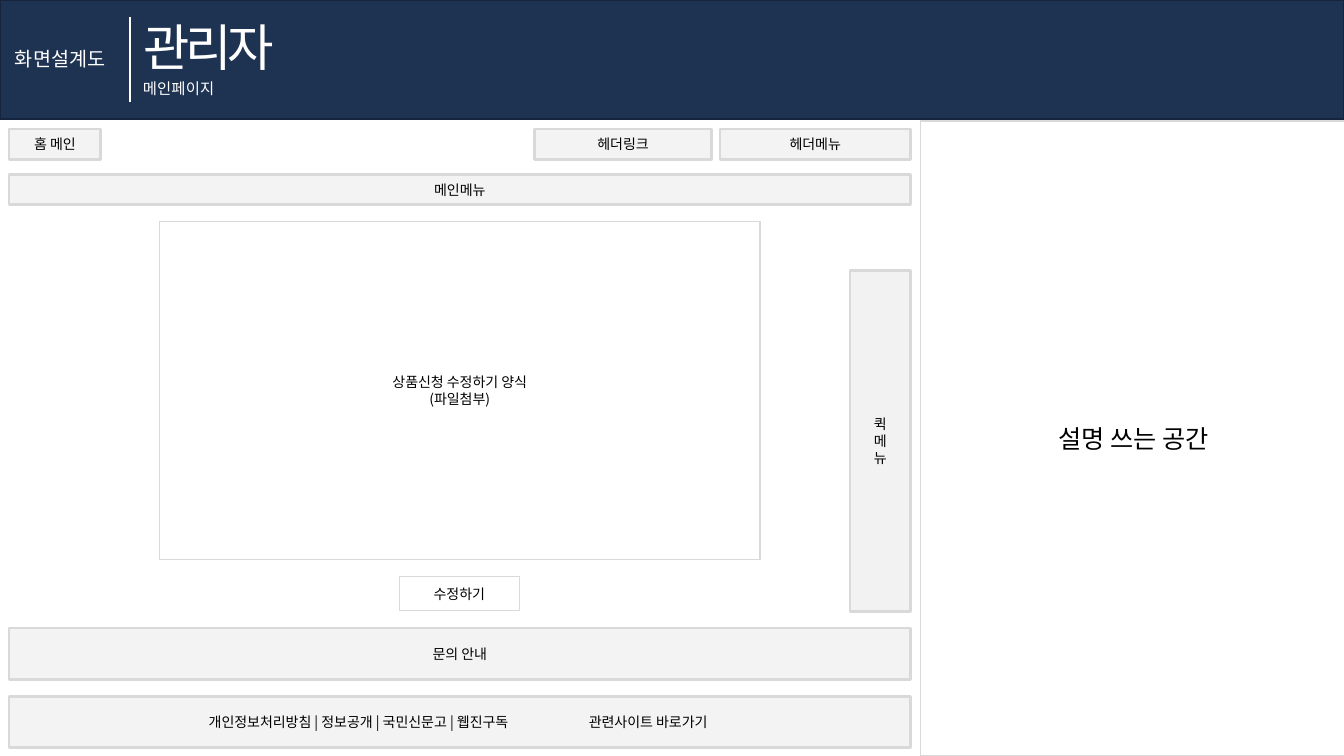
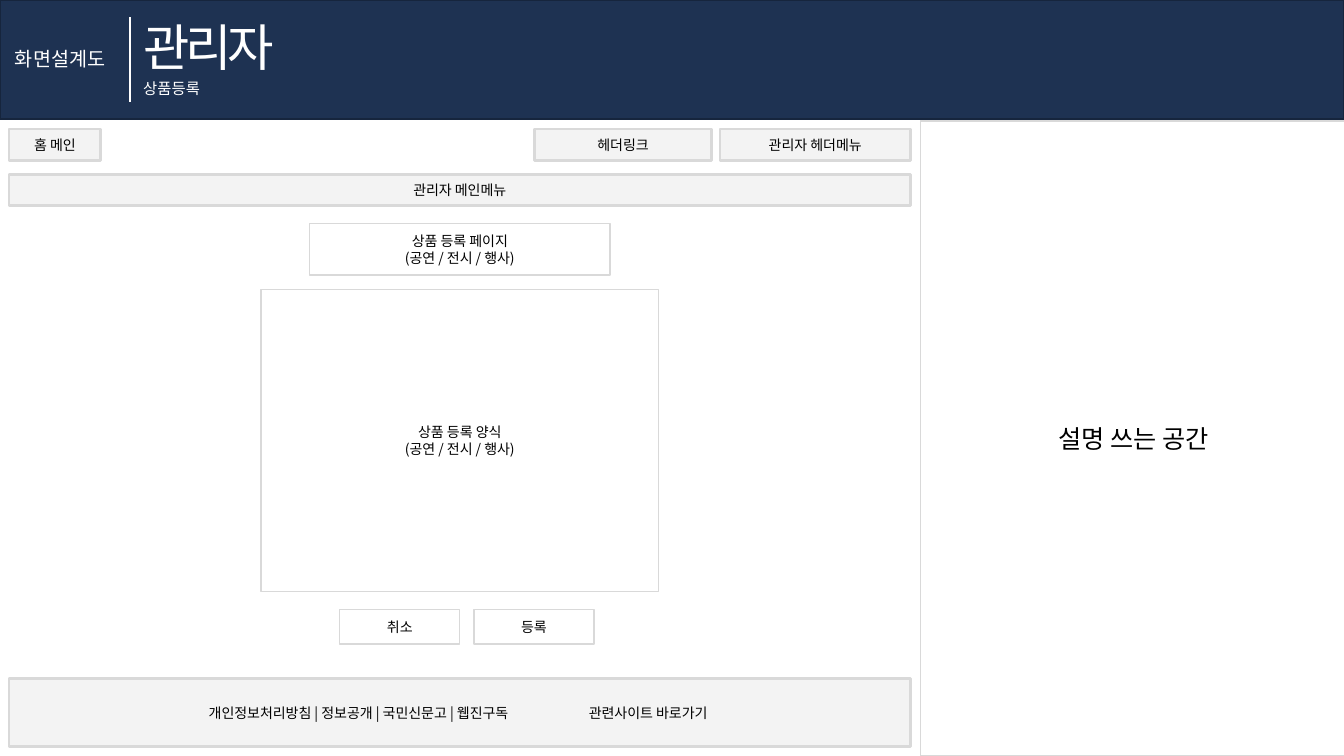
import dataclasses

import lxml.etree
import pptx
import pptx.dml.color
import pptx.enum.shapes
import pptx.enum.text
import pptx.oxml
import pptx.oxml.ns
import pptx.util

Inches = pptx.util.Inches
Pt = pptx.util.Pt
RGB = pptx.dml.color.RGBColor.from_string
qn = pptx.oxml.ns.qn
ALIGN = pptx.enum.text.PP_ALIGN


@dataclasses.dataclass(frozen=True)
class Theme:
    font: str = "Noto Sans CJK KR"
    subtitle_font: str = "Arial"
    navy: str = "1E3252"
    navy_edge: str = "16253D"
    white: str = "FFFFFF"
    black: str = "000000"
    edge: str = "D9D9D9"
    quick: str = "BFBFBF"
    title: int = 36
    label: int = 14
    subtitle: int = 11
    note: int = 18
    body: int = 10


theme = Theme()


def set_text(shape, text, size, color, align, font=theme.font):
    tf = shape.text_frame
    tf.text = text
    for p in tf.paragraphs:
        p.alignment = align
        for r in p.runs:
            r.font.size = Pt(size)
            r.font.name = font
            r.font.color.rgb = RGB(color)
            ea = lxml.etree.SubElement(r.font._element, qn("a:ea"))
            ea.set("typeface", font)


def add_box(s, at, text, fill, alpha, edge, weight, size=theme.body):
    sp = s.shapes.add_shape(pptx.enum.shapes.MSO_SHAPE.RECTANGLE, *map(Inches, at))
    sp.shadow.inherit = False
    sp.fill.solid()
    sp.fill.fore_color.rgb = RGB(fill)
    if alpha < 100:
        color = sp.element.spPr.find(qn("a:solidFill")).find(qn("a:srgbClr"))
        lxml.etree.SubElement(color, qn("a:alpha")).set("val", str(alpha * 1000))
    sp.line.color.rgb = RGB(edge)
    sp.line.width = Pt(weight)
    if text:
        sp.text_frame.vertical_anchor = pptx.enum.text.MSO_ANCHOR.MIDDLE
        set_text(sp, text, size, theme.black, ALIGN.CENTER)
    return sp


MARGIN, CONTENT_WIDTH = 0.09, 8.94
BUTTON = (1.19, 0.34)
FOOTER = "개인정보처리방침 | 정보공개 | 국민신문고 | 웹진구독\t관련사이트 바로가기"
STYLES = {
    "menu": (theme.edge, 30, theme.edge, 2),
    "quick": (theme.quick, 20, theme.edge, 2),
    "plain": (theme.white, 100, theme.edge, 1),
}

pages = [
    {
        "subtitle": "메인페이지",
        "subtitle_width": 0.97,
        "row_height": 0.3,
        "main_menu": "메인메뉴",
        "header_menu": "헤더메뉴",
        "footer": (6.91, 0.51),
        "boxes": [
            ("plain", (1.58, 2.2, 5.96, 3.35), "상품신청 수정하기 양식\n(파일첨부)"),
            ("menu", (MARGIN, 6.23, CONTENT_WIDTH, 0.51), "문의 안내"),
            ("quick", (8.43, 2.68, 0.6, 3.39), "퀵\n메\n뉴"),
            ("plain", (3.96, 5.72, *BUTTON), "수정하기"),
        ],
    },
    {
        "subtitle": "상품등록",
        "subtitle_width": 0.82,
        "row_height": 0.31,
        "main_menu": "관리자 메인메뉴",
        "header_menu": "관리자 헤더메뉴",
        "footer": (6.73, 0.68),
        "boxes": [
            ("plain", (3.07, 2.22, 2.98, 0.51), "상품 등록 페이지\n(공연 / 전시 / 행사)"),
            ("plain", (2.59, 2.87, 3.94, 3), "상품 등록 양식\n(공연 / 전시 / 행사)"),
            ("plain", (3.37, 6.05, *BUTTON), "취소"),
            ("plain", (4.7, 6.05, *BUTTON), "등록"),
        ],
    },
]

prs = pptx.Presentation()
prs.slide_width = Inches(13.33)
prs.slide_height = Inches(7.5)

for page in pages:
    s = prs.slides.add_slide(prs.slide_layouts[5])
    title = s.shapes.title
    band = add_box(s, (0, 0, 13.33, 1.18), "", theme.navy, 100, theme.navy_edge, 1)
    title.element.addprevious(band.element)

    label = s.shapes.add_textbox(0, 0, 0, 0)
    subtitle = s.shapes.add_textbox(0, 0, 0, 0)
    for sp, at, text, size, font in [
        (title, (1.32, 0.11, 1.59, 0.71), "관리자", theme.title, theme.font),
        (label, (0.05, 0.42, 1.18, 0.34), "화면설계도", theme.label, theme.font),
        (subtitle, (1.32, 0.74, page["subtitle_width"], 0.29), page["subtitle"],
         theme.subtitle, theme.subtitle_font),
    ]:
        sp.left, sp.top, sp.width, sp.height = map(Inches, at)
        set_text(sp, text, size, theme.white, ALIGN.LEFT, font)
        sp.text_frame.word_wrap = False
        sp.text_frame.auto_size = pptx.enum.text.MSO_AUTO_SIZE.SHAPE_TO_FIT_TEXT
        sp.text_frame.vertical_anchor = pptx.enum.text.MSO_ANCHOR.TOP
    title.text_frame.paragraphs[0].runs[0].font._element.set("spc", "-300")

    divider = s.shapes.add_connector(
        pptx.enum.shapes.MSO_CONNECTOR.STRAIGHT,
        Inches(1.29), Inches(0.17), Inches(1.29), Inches(1.01),
    )
    divider.line.color.rgb = RGB(theme.white)
    divider.line.width = Pt(1.5)
    lxml.etree.SubElement(divider.element.spPr, qn("a:effectLst"))

    add_box(s, (9.13, 1.2, 4.22, 6.3), "설명 쓰는 공간", *STYLES["plain"], theme.note)

    height = page["row_height"]
    shared = [
        ("menu", (MARGIN, 1.28, 0.91, height), "홈 메인"),
        ("menu", (5.3, 1.28, 1.76, height), "헤더링크"),
        ("menu", (7.14, 1.28, 1.89, height), page["header_menu"]),
        ("menu", (MARGIN, 1.73, CONTENT_WIDTH, height), page["main_menu"]),
    ]
    for style, at, text in shared + page["boxes"]:
        add_box(s, at, text, *STYLES[style])

    top, height = page["footer"]
    footer = add_box(s, (MARGIN, top, CONTENT_WIDTH, height), FOOTER, *STYLES["menu"])
    footer.text_frame.margin_left = Inches(1.98)
    p = footer.text_frame.paragraphs[0]
    p.alignment = ALIGN.LEFT
    tabs = lxml.etree.SubElement(p._p.get_or_add_pPr(), qn("a:tabLst"))
    tab = lxml.etree.SubElement(tabs, qn("a:tab"))
    tab.set("pos", str(Inches(3.77)))
    tab.set("algn", "l")

prs.save("out.pptx")
